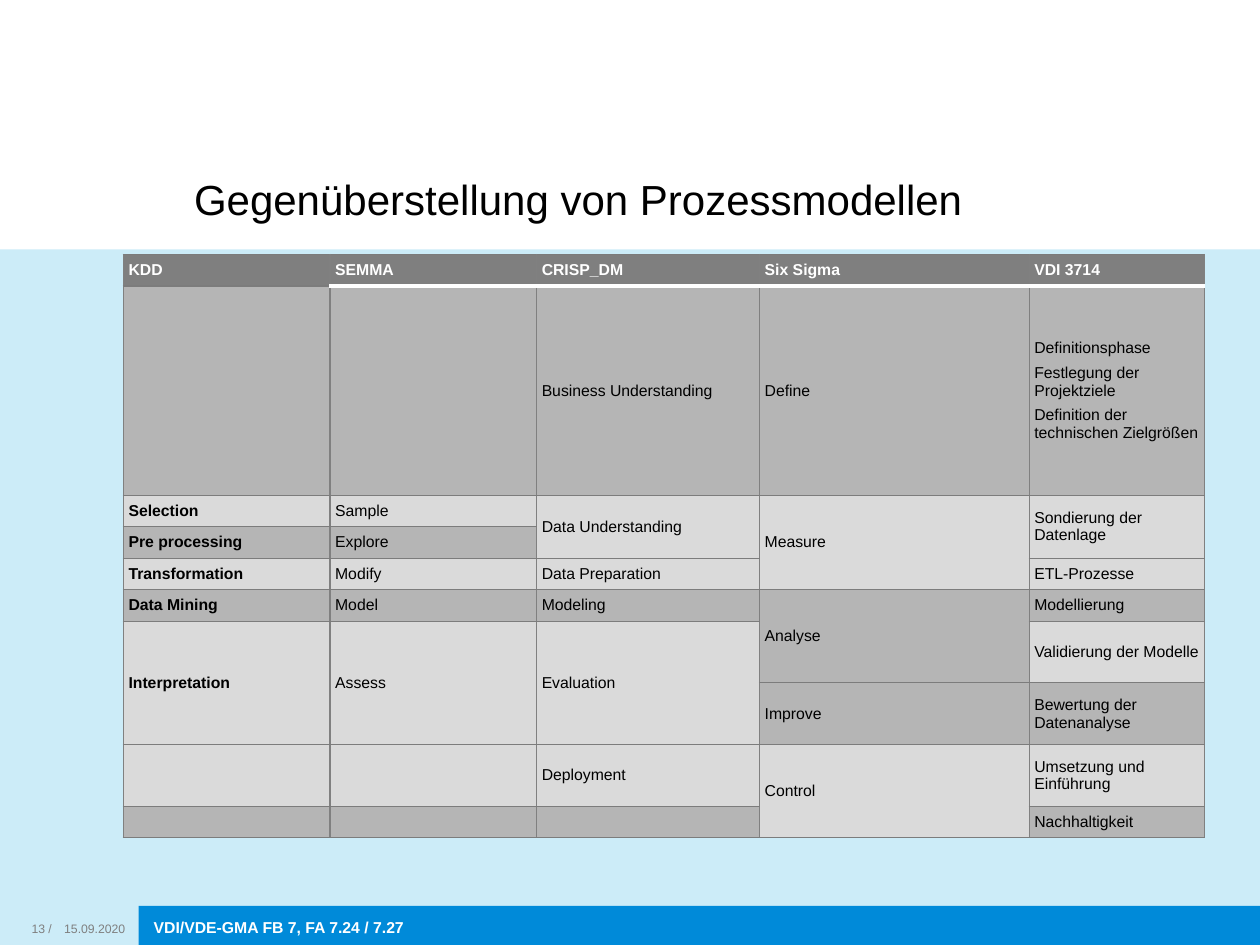
import pptx
import pptx.util
import pptx.dml.color
import pptx.enum.shapes
import pptx.enum.text
import pptx.oxml.ns
import lxml.etree

Inches, Pt = pptx.util.Inches, pptx.util.Pt
RGBColor = pptx.dml.color.RGBColor
MSO_ANCHOR, PP_ALIGN = pptx.enum.text.MSO_ANCHOR, pptx.enum.text.PP_ALIGN
RECT = pptx.enum.shapes.MSO_SHAPE.RECTANGLE
qn = pptx.oxml.ns.qn

WHITE = RGBColor(0xFF, 0xFF, 0xFF)
BLACK = RGBColor(0x00, 0x00, 0x00)
PALE_BLUE = RGBColor(0xCC, 0xEC, 0xF8)
BLUE = RGBColor(0x00, 0x8A, 0xD9)
GRAY = RGBColor(0x7F, 0x7F, 0x7F)
DARK_BAND = RGBColor(0xB5, 0xB5, 0xB5)
LIGHT_BAND = RGBColor(0xDA, 0xDA, 0xDA)
GRID = RGBColor(0x7C, 0x7C, 0x7C)
DIVIDER = RGBColor(0x80, 0x80, 0x80)


def add_run(p, text, size, color, bold=False):
    r = p.add_run()
    r.text = text
    r.font.name = "Arial"
    r.font.size = Pt(size)
    r.font.bold = bold
    r.font.color.rgb = color


def add_border(cell, side, color, width):
    ln = lxml.etree.SubElement(cell._tc.get_or_add_tcPr(), qn("a:" + side), w=str(Pt(width)))
    fill = lxml.etree.SubElement(ln, qn("a:solidFill"))
    lxml.etree.SubElement(fill, qn("a:srgbClr"), val=str(color))


prs = pptx.Presentation()
prs.slide_width, prs.slide_height = Inches(10), Inches(7.5)
s = prs.slides.add_slide(prs.slide_layouts[6])

rects = []
for left, top, width, height, color in [
    (0, 1.98, 10, 5.52, PALE_BLUE),
    (1.1, 7.19, 8.9, 0.31, BLUE),
]:
    sp = s.shapes.add_shape(RECT, Inches(left), Inches(top), Inches(width), Inches(height))
    sp.shadow.inherit = False
    sp.fill.solid()
    sp.fill.fore_color.rgb = color
    sp.line.fill.background()
    rects.append(sp)

date = s.shapes.add_textbox(Inches(0.51), Inches(7.19), Inches(0.59), Inches(0.31))
number = s.shapes.add_textbox(Inches(0), Inches(7.19), Inches(0.51), Inches(0.31))
title = s.shapes.add_textbox(Inches(1.54), Inches(0.94), Inches(8.46), Inches(0.84))

for sp, text, size, color, bold, margins, anchor in [
    (date, "15.09.2020", 7, GRAY, False, (0, 0.12, 0, 0.05), MSO_ANCHOR.TOP),
    (number, "13 /", 7, GRAY, False, (0.25, 0.12, 0, 0.05), MSO_ANCHOR.TOP),
    (title, "Gegenüberstellung von Prozessmodellen", 24, BLACK, False, (0, 0, 0, 0), MSO_ANCHOR.BOTTOM),
    (rects[1], "VDI/VDE-GMA FB 7, FA 7.24 / 7.27", 9, WHITE, True, (0.12, 0.09, 0.12, 0.05), MSO_ANCHOR.TOP),
]:
    tf = sp.text_frame
    tf.word_wrap = True
    tf.vertical_anchor = anchor
    tf.margin_left, tf.margin_top, tf.margin_right, tf.margin_bottom = map(Inches, margins)
    tf.paragraphs[0].alignment = PP_ALIGN.LEFT
    add_run(tf.paragraphs[0], text, size, color, bold)
title.text_frame.paragraphs[0].line_spacing = Pt(30)

col_widths = [1.64, 1.64, 1.77, 2.14, 1.39]
row_heights = [0.25, 1.66] + [0.25] * 4 + [0.49] * 3 + [0.25]
goals = ["Definitionsphase", "Festlegung der Projektziele", "Definition der technischen Zielgrößen"]
rows = [
    ["KDD", "SEMMA", "CRISP_DM", "Six Sigma", "VDI 3714"],
    ["", "", "Business Understanding", "Define", goals],
    ["Selection", "Sample", "Data Understanding", "Measure", "Sondierung der Datenlage"],
    ["Pre processing", "Explore", "", "", ""],
    ["Transformation", "Modify", "Data Preparation", "", "ETL-Prozesse"],
    ["Data Mining", "Model", "Modeling", "Analyse", "Modellierung"],
    ["Interpretation", "Assess", "Evaluation", "", "Validierung der Modelle"],
    ["", "", "", "Improve", "Bewertung der Datenanalyse"],
    ["", "", "Deployment", "Control", "Umsetzung und Einführung"],
    ["", "", "", "", "Nachhaltigkeit"],
]
merges = [(2, 2, 3), (2, 3, 4), (2, 4, 3), (5, 3, 6), (6, 0, 7), (6, 1, 7), (6, 2, 7), (8, 3, 9)]

frame = s.shapes.add_table(len(rows), len(col_widths), Inches(0.98), Inches(2.02),
                           Inches(sum(col_widths)), Inches(sum(row_heights)))
table = frame.table
for col, width in zip(table.columns, col_widths):
    col.width = Inches(width)
for row, height in zip(table.rows, row_heights):
    row.height = Inches(height)
for first, col, last in merges:
    table.cell(first, col).merge(table.cell(last, col))

for i, row in enumerate(rows):
    for j, content in enumerate(row):
        cell = table.cell(i, j)
        cell.margin_left = cell.margin_top = cell.margin_right = cell.margin_bottom = 0
        cell.vertical_anchor = MSO_ANCHOR.MIDDLE
        add_border(cell, "lnL", DIVIDER, 1)
        add_border(cell, "lnR", DIVIDER, 1)
        add_border(cell, "lnT", *((WHITE, 2) if i == 1 and j > 0 else (GRID, 0.75)))
        add_border(cell, "lnB", *((WHITE, 2) if i == 0 and j > 0 else (GRID, 0.75)))
        cell.fill.solid()
        cell.fill.fore_color.rgb = GRAY if i == 0 else DARK_BAND if i % 2 else LIGHT_BAND

        tf = cell.text_frame
        for k, text in enumerate(content if isinstance(content, list) else [content]):
            p = tf.add_paragraph() if k else tf.paragraphs[0]
            p.alignment = PP_ALIGN.JUSTIFY if i > 0 and j < 4 else PP_ALIGN.LEFT
            p.space_before = p.space_after = Pt(2)
            p._p.get_or_add_pPr().set("marL", str(Inches(0.04)))
            if text:
                add_run(p, text, 9, WHITE if i == 0 else BLACK, i == 0 or j == 0)
            else:
                lxml.etree.SubElement(p._p, qn("a:endParaRPr"), sz="900")

prs.save("out.pptx")
